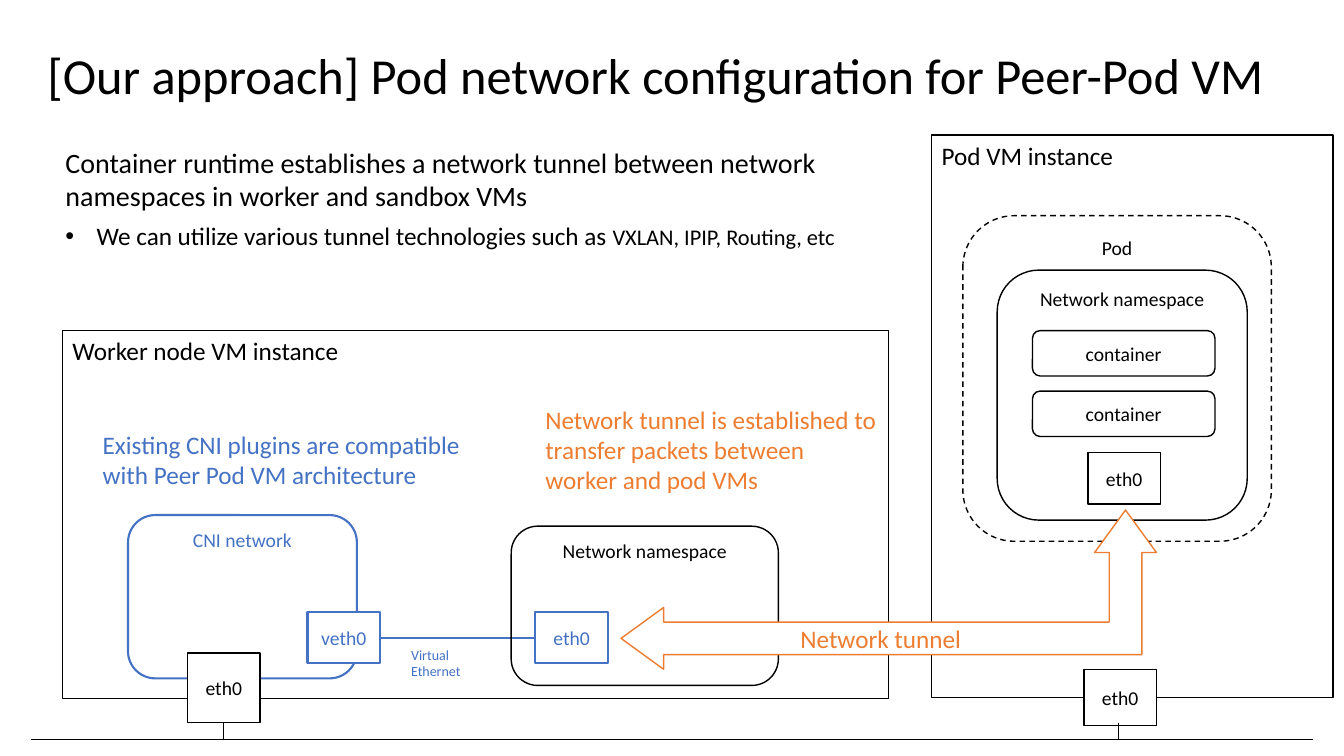
"""Build the slide on pod network configuration for a Peer-Pod VM."""
import lxml.etree
import pptx
import pptx.dml.color
import pptx.enum.dml
import pptx.enum.shapes
import pptx.enum.text
import pptx.oxml.ns
import pptx.util

Inches = pptx.util.Inches
Pt = pptx.util.Pt
RGBColor = pptx.dml.color.RGBColor
SHAPE = pptx.enum.shapes.MSO_SHAPE
ALIGN = pptx.enum.text.PP_ALIGN
ANCHOR = pptx.enum.text.MSO_ANCHOR
AUTO_SIZE = pptx.enum.text.MSO_AUTO_SIZE

BLACK = RGBColor(0x00, 0x00, 0x00)
WHITE = RGBColor(0xFF, 0xFF, 0xFF)
BLUE = RGBColor(0x44, 0x72, 0xC4)
ORANGE = RGBColor(0xED, 0x7D, 0x31)
FONT = "Calibri"
PORT_WIDTH = 0.72
PORT_HEIGHT = 0.51


class Diagram:
    def __init__(self, presentation):
        self.slide = presentation.slides.add_slide(presentation.slide_layouts[5])
        self.shapes = self.slide.shapes

    def add_element(self, parent, tag, **attributes):
        lxml.etree.SubElement(parent, pptx.oxml.ns.qn(tag), attributes)

    def add_run(self, paragraph, text, size, color=BLACK):
        run = paragraph.add_run()
        run.text = text
        run.font.name = FONT
        run.font.size = Pt(size)
        run.font.color.rgb = color

    def title(self, text, left, top, width, height):
        title = self.shapes.title
        title.left, title.top = Inches(left), Inches(top)
        title.width, title.height = Inches(width), Inches(height)
        title.text_frame.vertical_anchor = ANCHOR.MIDDLE
        paragraph = title.text_frame.paragraphs[0]
        paragraph.alignment = ALIGN.LEFT
        paragraph.line_spacing = 0.9
        self.add_run(paragraph, text, 36)

    def box(self, kind, left, top, width, height, color=BLACK, weight=1, fill=None):
        shape = self.shapes.add_shape(
            kind, Inches(left), Inches(top), Inches(width), Inches(height))
        shape.shadow.inherit = False
        if fill is None:
            shape.fill.background()
        else:
            shape.fill.solid()
            shape.fill.fore_color.rgb = fill
        shape.line.color.rgb = color
        shape.line.width = Pt(weight)
        return shape

    def label(self, shape, text, size=14, color=BLACK,
              alignment=ALIGN.CENTER, anchor=ANCHOR.TOP):
        shape.text_frame.vertical_anchor = anchor
        paragraph = shape.text_frame.paragraphs[0]
        paragraph.alignment = alignment
        self.add_run(paragraph, text, size, color)

    def machine(self, text, left, top, width, height):
        shape = self.box(SHAPE.RECTANGLE, left, top, width, height, fill=WHITE)
        self.label(shape, text, 18, alignment=ALIGN.LEFT)

    def group(self, text, left, top, width, height, color=BLACK, weight=1):
        shape = self.box(SHAPE.ROUNDED_RECTANGLE, left, top, width, height, color, weight)
        self.label(shape, text, color=color)
        return shape

    def container(self, left, top):
        shape = self.box(SHAPE.ROUNDED_RECTANGLE, left, top, 1.81, 0.45)
        self.label(shape, "container", anchor=ANCHOR.MIDDLE)

    def port(self, text, left, top, height=PORT_HEIGHT, color=BLACK, weight=1):
        shape = self.box(SHAPE.RECTANGLE, left, top, PORT_WIDTH, height, color, weight, WHITE)
        self.label(shape, text, color=color, anchor=ANCHOR.MIDDLE)

    def line(self, start, end, color=BLACK, weight=0.5):
        connector = self.shapes.add_connector(
            pptx.enum.shapes.MSO_CONNECTOR.STRAIGHT,
            Inches(start[0]), Inches(start[1]), Inches(end[0]), Inches(end[1]))
        connector.line.color.rgb = color
        connector.line.width = Pt(weight)
        self.add_element(connector.element.spPr, "a:effectLst")

    def text_box(self, left, top, width, height, wrap=True):
        text_box = self.shapes.add_textbox(
            Inches(left), Inches(top), Inches(width), Inches(height))
        text_box.text_frame.word_wrap = wrap
        text_box.text_frame.auto_size = AUTO_SIZE.SHAPE_TO_FIT_TEXT
        return text_box.text_frame

    def note(self, text, left, top, width, height, size, color, wrap=True):
        frame = self.text_box(left, top, width, height, wrap)
        self.add_run(frame.paragraphs[0], text, size, color)

    def tunnel(self, left, top, width, height, adjustments):
        arrow = self.box(SHAPE.LEFT_UP_ARROW, left, top, width, height, ORANGE, fill=WHITE)
        for index, value in enumerate(adjustments):
            arrow.adjustments[index] = value

    def bullet(self, paragraph, indent):
        properties = paragraph._p.get_or_add_pPr()
        properties.set("marL", str(Inches(indent)))
        properties.set("indent", str(-Inches(indent)))
        self.add_element(properties, "a:buFont", typeface="Arial")
        self.add_element(properties, "a:buChar", char="•")

    def summary(self, left, top, width, height):
        frame = self.text_box(left, top, width, height)
        statement = frame.paragraphs[0]
        statement.space_after = Pt(6)
        self.add_run(statement, "Container runtime establishes a network tunnel between "
                     "network namespaces in worker and sandbox VMs", 20)
        detail = frame.add_paragraph()
        detail.space_after = Pt(6)
        self.bullet(detail, 0.31)
        self.add_run(detail, "We can utilize various tunnel technologies such as ", 18)
        self.add_run(detail, "VXLAN, IPIP, Routing, etc", 16)


def main():
    presentation = pptx.Presentation()
    presentation.slide_width = Inches(13.33)
    presentation.slide_height = Inches(7.5)
    diagram = Diagram(presentation)
    diagram.title("[Our approach] Pod network configuration for Peer-Pod VM",
                  0.37, 0.4, 12.96, 0.75)

    diagram.machine("Worker node VM instance", 0.62, 3.28, 8.19, 3.65)
    diagram.machine("Pod VM instance", 9.24, 1.34, 3.98, 5.58)

    pod = diagram.group("Pod", 9.55, 2.14, 3.06, 3.23)
    pod.line.dash_style = pptx.enum.dml.MSO_LINE.DASH
    diagram.group("Network namespace", 9.89, 2.68, 2.48, 2.48)
    diagram.port("eth0", 10.79, 4.49)
    for top in (3.28, 3.88):
        diagram.container(10.24, top)

    diagram.port("eth0", 5.31, 6.07, color=BLUE, weight=1.5)
    diagram.group("CNI network", 1.27, 5.11, 2.27, 1.62, BLUE, 1.5)
    diagram.port("veth0", 3.05, 6.07, color=BLUE, weight=1.5)
    diagram.port("eth0", 1.86, 6.48, 0.69)
    diagram.line((3.77, 6.33), (5.31, 6.33), BLUE, 1.5)
    diagram.note("Virtual Ethernet", 3.98, 6.36, 0.84, 0.44, 10, BLUE)
    diagram.note("Existing CNI plugins are compatible with Peer Pod VM architecture",
                 0.92, 4.21, 3.95, 0.71, 18, BLUE)
    diagram.group("Network namespace", 5.07, 5.22, 2.65, 1.58)

    diagram.note("Network tunnel is established to transfer packets between "
                 "worker and pod VMs", 5.31, 3.96, 3.48, 1.01, 18, ORANGE)
    diagram.tunnel(6.16, 5.06, 5.31, 1.58, (0.205, 0.194, 0.267))
    diagram.note("Network tunnel", 7.84, 6.13, 1.81, 0.4, 18, ORANGE, wrap=False)
    diagram.summary(0.55, 1.39, 8.19, 1.16)

    diagram.port("eth0", 10.75, 6.64, 0.56)
    diagram.line((0.31, 7.34), (13.02, 7.34))
    for left in (2.22, 11.09):
        diagram.line((left, 7.17), (left, 7.34))
    presentation.save("out.pptx")


if __name__ == "__main__":
    main()
